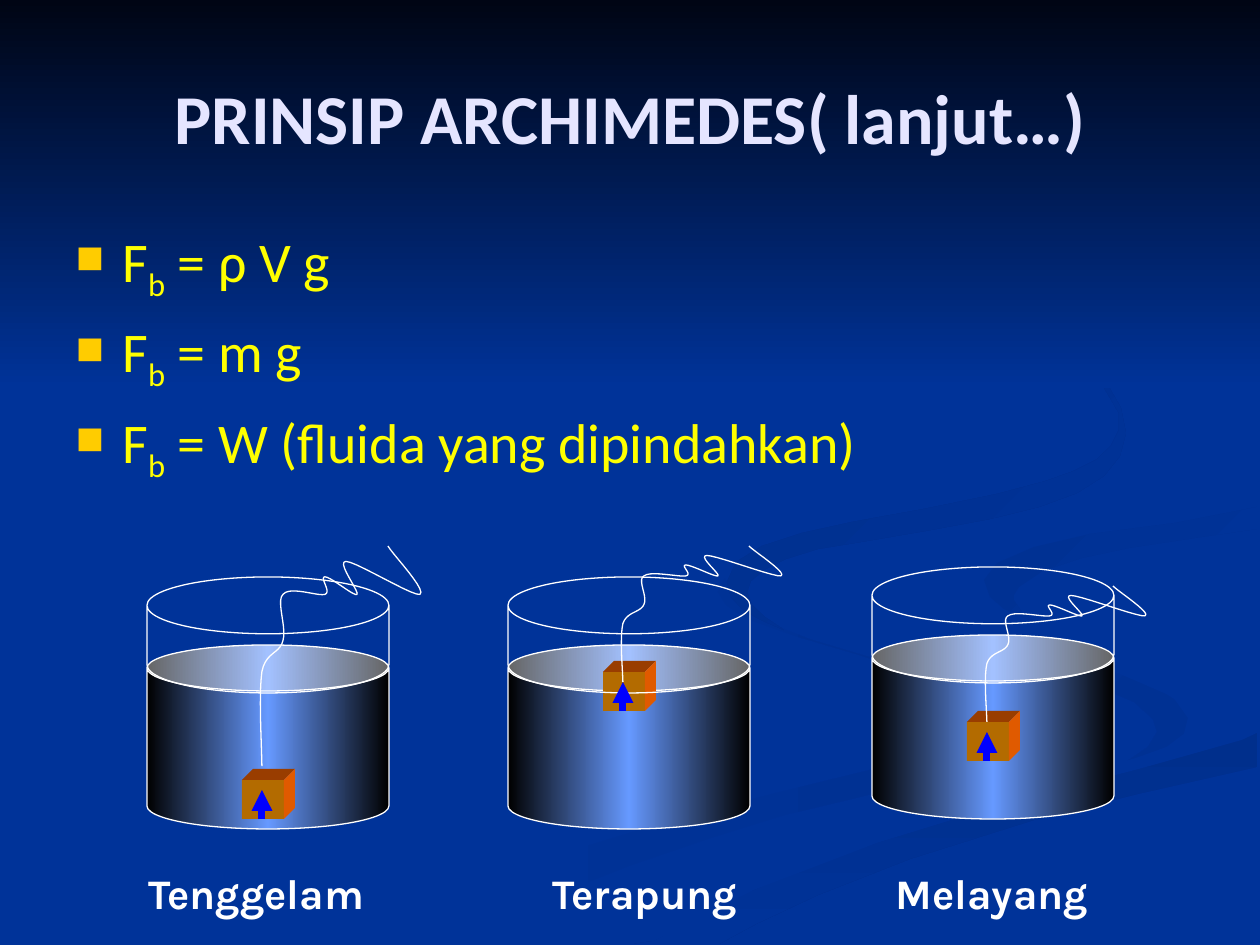
"""Build the Archimedes principle slide with three vessels."""
from lxml import etree
from pptx import Presentation
from pptx.dml.color import RGBColor
from pptx.enum.shapes import MSO_CONNECTOR, MSO_SHAPE
from pptx.enum.text import MSO_ANCHOR, PP_ALIGN
from pptx.oxml.ns import qn
from pptx.util import Emu, Pt

SCALE = 914400 / 126
CAN, RECTANGLE = MSO_SHAPE.CAN, MSO_SHAPE.RECTANGLE
STRAIGHT = MSO_CONNECTOR.STRAIGHT
LEFT, CENTER = PP_ALIGN.LEFT, PP_ALIGN.CENTER
TOP, MIDDLE = MSO_ANCHOR.TOP, MSO_ANCHOR.MIDDLE

COLORS = {
    "blue": "003399", "night": "000514", "shade": "003193", "deep": "002F8C",
    "title": "E5E5FF", "formula": "FFFF00", "bullet": "FFCC00", "white": "FFFFFF",
    "black": "000000", "water": "6699FF", "front": "B36B00", "side": "E05A00",
    "lid": "993D00", "force": "0000FF",
}

LOWER_RIBBON = [
    (984, 697), (954, 684), (921, 672), (859, 654), (809, 639), (774, 625), (748, 611),
    (730, 591), (725, 578), (718, 592), (726, 605), (747, 619), (795, 636), (856, 654),
    (917, 674), (960, 689), (984, 701), (990, 713), (983, 730), (956, 743), (916, 759),
    (862, 772), (776, 793), (679, 818), (577, 849), (474, 891), (378, 944), (455, 944),
    (543, 900), (629, 866), (711, 838), (785, 815), (852, 799), (932, 779), (983, 762),
    (1002, 746), (1008, 732), (1002, 714), (990, 701)]
MIDDLE_RIBBON = [
    (1188, 718), (1178, 702), (1158, 689), (1119, 674), (1046, 654), (975, 634), (939, 617),
    (920, 604), (912, 585), (916, 604), (931, 622), (965, 645), (1027, 668), (1094, 685),
    (1134, 702), (1153, 719), (1157, 732), (1148, 747), (1126, 762), (1166, 747), (1186, 732)]
TAIL_RIBBON = [
    (634, 944), (719, 944), (756, 924), (818, 895), (910, 859), (1034, 820), (1138, 794),
    (1257, 767), (1257, 732), (1213, 748), (1138, 769), (1004, 804), (877, 843), (794, 873),
    (717, 906), (654, 941)]
WIDE_RIBBON = [
    (914, 585), (939, 617), (977, 634), (1046, 654), (1120, 674), (1173, 697), (1188, 718),
    (1184, 734), (1167, 747), (1136, 758), (1094, 770), (1023, 788), (936, 810), (835, 842),
    (722, 886), (601, 944), (654, 941), (754, 890), (877, 843), (1004, 804), (1139, 769),
    (1242, 740), (1259, 732), (1259, 678), (1186, 664), (1091, 641), (1030, 620), (990, 596),
    (985, 580), (998, 563), (1036, 547), (1090, 534), (1176, 523), (1259, 507), (1259, 488),
    (1187, 503), (1101, 514), (1018, 525), (951, 544), (920, 566)]
EDGE_RIBBON = [
    (984, 580), (990, 597), (1004, 609), (1041, 625), (1023, 614), (1014, 600), (1014, 595),
    (1019, 587), (1043, 571), (1082, 558), (1129, 548), (1202, 537), (1257, 529), (1257, 507),
    (1175, 523), (1090, 534), (1034, 547), (997, 563)]
UPPER_RIBBON = [
    (861, 542), (931, 530), (990, 519), (1039, 507), (1077, 493), (1104, 476), (1120, 456),
    (1126, 433), (1121, 408), (1109, 387), (1089, 367), (1062, 347), (1021, 323), (983, 304),
    (960, 294), (987, 306), (1041, 335), (1077, 359), (1103, 386), (1119, 413), (1119, 430),
    (1111, 446), (1096, 460), (1074, 471), (1046, 481), (997, 494), (924, 509), (852, 522),
    (802, 533), (762, 546), (736, 562), (727, 582), (731, 597), (743, 610), (761, 620),
    (784, 630), (765, 617), (752, 605), (747, 592), (751, 581), (764, 570), (786, 559),
    (818, 549)]
RIBBONS = [
    (LOWER_RIBBON, ("blue", "shade"), 0), (MIDDLE_RIBBON, ("blue", "shade"), 45),
    (TAIL_RIBBON, ("deep", "blue"), 90), (WIDE_RIBBON, ("blue",), 0),
    (EDGE_RIBBON, ("shade", "blue"), 45), (UPPER_RIBBON, ("deep", "blue"), 45)]

# Bezier knots: px right of the start, percent of the height above the bottom end
STRING = [
    (0, 0), (-1, 17), (-3, 33), (0, 43), (4, 52), (18, 51), (21, 57), (25, 63), (14, 75),
    (21, 78), (28, 82), (56, 77), (63, 78), (70, 79), (57, 86), (63, 86), (69, 86), (92, 77),
    (95, 78), (98, 79), (74, 93), (84, 93), (94, 93), (151, 77), (158, 78), (165, 80),
    (131, 96), (126, 100)]
VESSELS = [(872, 567, 722, 722, 136), (508, 577, 672, 682, 136), (147, 577, 780, 766, 220)]
FORMULAS = ["ρ V g", "m g", "W (fluida yang dipindahkan)"]
LABELS = [("Tenggelam", 136, LEFT), ("Terapung", 451, CENTER), ("Melayang", 798, CENTER)]


def px(value):
    return Emu(round(value * SCALE))


def color(name):
    return RGBColor.from_string(COLORS[name])


def bezier(knots, steps=10):
    points = [knots[0]]
    for first in range(0, len(knots) - 1, 3):
        a, b, c, d = knots[first:first + 4]
        for step in range(1, steps + 1):
            t = step / steps
            u = 1 - t
            points.append(tuple(
                u**3 * a[i] + 3 * u * u * t * b[i] + 3 * u * t * t * c[i] + t**3 * d[i]
                for i in (0, 1)))
    return points


class SlideArtist:
    """Hold the slide and the style its elements share."""

    def __init__(self, slide):
        self.slide = slide
        self.shapes = slide.shapes

    def paint(self, shape, fills=(), angle=0, line=None):
        shape.shadow.inherit = False
        if len(fills) > 1:
            shape.fill.gradient()
            shape.fill.gradient_angle = (360 - angle) % 360
            stops = shape.element.spPr.find(".//" + qn("a:gsLst"))
            stops.clear()
            for index, name in enumerate(fills):
                position = str(100000 * index // (len(fills) - 1))
                stop = etree.SubElement(stops, qn("a:gs"), pos=position)
                etree.SubElement(stop, qn("a:srgbClr"), val=COLORS[name])
        elif fills:
            shape.fill.solid()
            shape.fill.fore_color.rgb = color(fills[0])
        else:
            shape.fill.background()
        if line:
            shape.line.color.rgb = color(line)
            shape.line.width = Pt(0.75)
        else:
            shape.line.fill.background()

    def preset(self, kind, left, top, width, height, adjust=None, **style):
        shape = self.shapes.add_shape(kind, px(left), px(top), px(width), px(height))
        if adjust:
            shape.adjustments[0] = adjust
        self.paint(shape, **style)

    def outline(self, points, close=True, **style):
        points = [(px(x), px(y)) for x, y in points]
        builder = self.shapes.build_freeform(*points[0], scale=1.0)
        builder.add_line_segments(points[1:], close=close)
        self.paint(builder.convert_to_shape(), **style)

    def arrow(self, x, start, end):
        line = self.shapes.add_connector(STRAIGHT, px(x), px(start), px(x), px(end))
        line.line.color.rgb = color("force")
        line.line.width = Pt(4)
        etree.SubElement(line.line._get_or_add_ln(), qn("a:tailEnd"), type="triangle")
        etree.SubElement(line._element.spPr, qn("a:effectLst"))

    def text(self, paragraphs, left, top, width, height, size, ink,
             font="Calibri", bold=False, align=LEFT, anchor=TOP):
        box = self.shapes.add_textbox(px(left), px(top), px(width), px(height))
        frame = box.text_frame
        frame.word_wrap = True
        frame.vertical_anchor = anchor
        for index, pieces in enumerate(paragraphs):
            para = frame.paragraphs[0] if index == 0 else frame.add_paragraph()
            para.alignment = align
            for piece in pieces:
                span = para.add_run()
                span.text = piece
                span.font.name, span.font.size, span.font.bold = font, Pt(size), bold
                span.font.color.rgb = color(ink)
        return frame

    def formulas(self, values):
        rows = [("F", "b", f" = {value}") for value in values]
        frame = self.text(rows, 63, 220, 1134, 334, 32, "formula")
        for para in frame.paragraphs:
            para.space_before = Pt(8)
            para.runs[1].font._element.set("baseline", "-25000")
            props = para._p.get_or_add_pPr()
            props.set("marL", str(px(47)))
            props.set("indent", str(px(-47)))
            tint = etree.SubElement(props, qn("a:buClr"))
            etree.SubElement(tint, qn("a:srgbClr"), val=COLORS["bullet"])
            etree.SubElement(props, qn("a:buSzPct"), val="70000")
            etree.SubElement(props, qn("a:buChar"), char="■")

    def cube(self, left, top, width=42, height=39, depth=11):
        right, bottom = left + width, top + height
        corner = (right + depth, top - depth)
        self.preset(RECTANGLE, left, top, width, height, fills=("front",))
        self.outline([(left, top), (left + depth, top - depth), corner, (right, top)],
                     fills=("lid",))
        self.outline([(right, top), corner, (right + depth, bottom - depth), (right, bottom)],
                     fills=("side",))

    def vessel(self, left, top, cube_top, string_end, string_height):
        center = left + 115
        self.preset(CAN, left, top + 68, 242, 184, 0.25,
                    fills=("black", "water", "black"), line="white")
        self.cube(left + 95, cube_top)
        knots = [(center + x, string_end - string_height * y / 100) for x, y in STRING]
        self.outline(bezier(knots), close=False, line="white")
        self.preset(CAN, left, top, 242, 116, 0.49, line="white")
        self.arrow(center, cube_top + 39, cube_top + 10)


def main():
    deck = Presentation()
    deck.slide_width, deck.slide_height = px(1260), px(945)
    page = deck.slides.add_slide(deck.slide_layouts[6])
    page.background.fill.solid()
    page.background.fill.fore_color.rgb = color("blue")
    artist = SlideArtist(page)
    for points, fills, angle in RIBBONS:
        artist.outline(points, fills=fills, angle=angle)
    artist.preset(RECTANGLE, 0, 0, 1260, 388, fills=("night", "blue"), angle=90)
    artist.text([["PRINSIP ARCHIMEDES( lanjut…)"]], 63, 38, 1134, 158, 40, "title",
                bold=True, align=CENTER, anchor=MIDDLE)
    artist.formulas(FORMULAS)
    for vessel in VESSELS:
        artist.vessel(*vessel)
    for label, left, align in LABELS:
        artist.text([[label]], left, 861, 388, 63, 24, "white", "Karla", True, align)
    deck.save("out.pptx")


if __name__ == "__main__":
    main()
